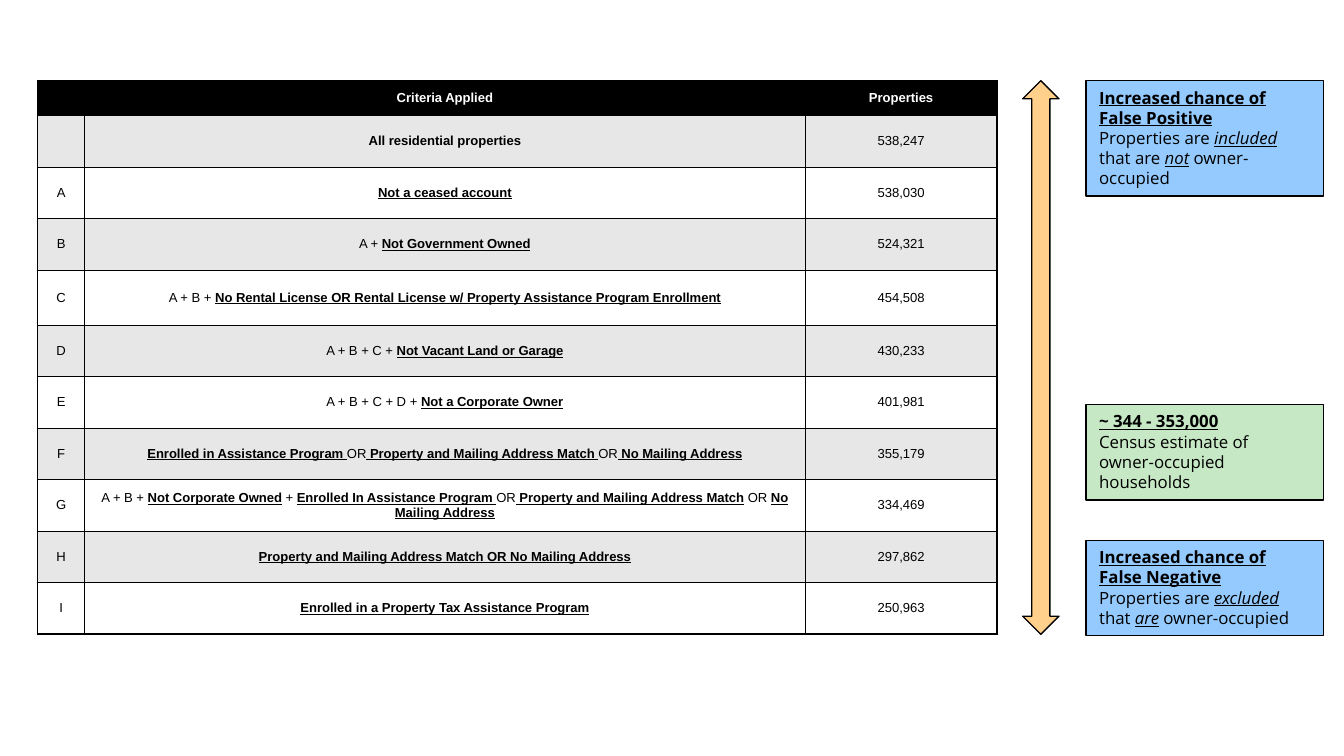
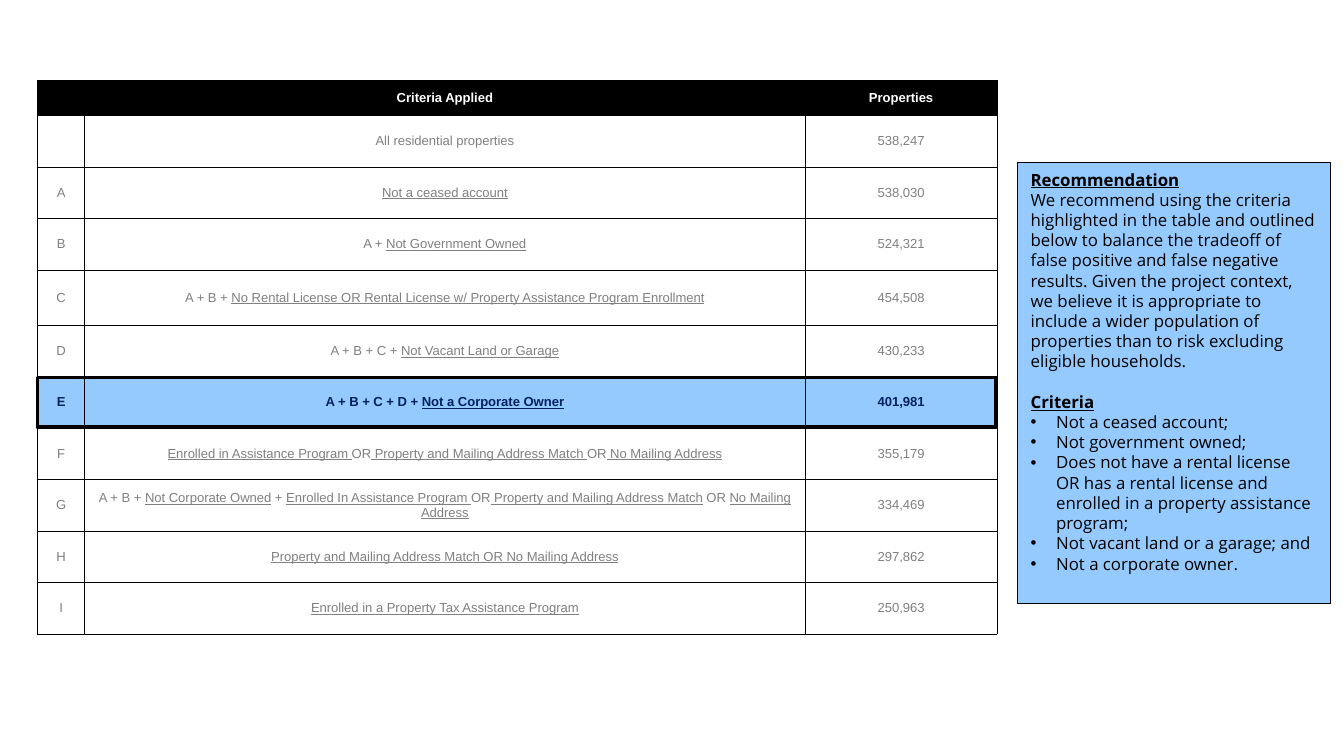
from pptx import Presentation
from pptx.dml.color import RGBColor
from pptx.enum import shapes as sh, text as tx
from pptx.oxml import parse_xml
from pptx.oxml.ns import nsdecls, qn
from pptx.util import Inches, Pt

BLACK, WHITE, GREY, BAND = "000000", "FFFFFF", "808080", "E7E7E7"
BLUE, NAVY, SAND, GREEN = "95CAFE", "002060", "FFD08B", "54BC4D"
WIDE = 10
GRID = (0.28, 0.6, 7.13, 4.12)
COLS = (0.35, 5.36, 1.43)
HEAD, TALL = 0.26, 0.41
ROWS = [
    ("", "Criteria Applied", "Properties"),
    ("", "All residential properties", "538,247"),
    ("A", "_Not a ceased account_", "538,030"),
    ("B", "A + _Not Government Owned_", "524,321"),
    ("C", "A + B + _No Rental License OR Rental License w/ Property Assistance "
          "Program Enrollment_", "454,508"),
    ("D", "A + B + C + _Not Vacant Land or Garage_", "430,233"),
    ("E", "A + B + C + D + _Not a Corporate Owner_", "401,981"),
    ("F", "_Enrolled in Assistance Program _OR_ Property and Mailing Address "
          "Match _OR_ No Mailing Address_", "355,179"),
    ("G", "A + B + _Not Corporate Owned_ + _Enrolled In Assistance Program _OR"
          "_ Property and Mailing Address Match_ OR _No Mailing Address_",
     "334,469"),
    ("H", "_Property and Mailing Address Match OR No Mailing Address_",
     "297,862"),
    ("I", "_Enrolled in a Property Tax Assistance Program_", "250,963"),
]
ADVICE = (
    "We recommend using the criteria highlighted in the table and outlined "
    "below to balance the tradeoff of false positive and false negative "
    "results. Given the project context, we believe it is appropriate to "
    "include a wider population of properties than to risk excluding eligible "
    "households."
)
TERMS = [
    "Not a ceased account;",
    "Not government owned;",
    "Does not have a rental license OR has a rental license and enrolled in a "
    "property assistance program;",
    "Not vacant land or a garage; and",
    "Not a corporate owner.",
]


def rgb(code):
    """Turn a hex string into a colour."""
    return RGBColor.from_string(code)


def write(par, line, marks, face, size, color):
    """Fill a paragraph, giving the marks to parts between underscores."""
    for n, part in enumerate(line.split("_")):
        if part:
            run = par.add_run()
            run.text = part
            for mark in marks if n % 2 else ():
                setattr(run.font, mark, True)
    font = par.font
    font.name, font.size, font.color.rgb = face, Pt(size), rgb(color)


def shape(slide, kind, box, fill=None, width=0.75):
    """Add a black-lined preset shape."""
    item = slide.shapes.add_shape(kind, *map(Inches, box))
    item.shadow.inherit = False
    item.line.color.rgb, item.line.width = rgb(BLACK), Pt(width)
    if fill:
        item.fill.solid()
        item.fill.fore_color.rgb = rgb(fill)
    else:
        item.fill.background()
    return item


def edge(cell, sides):
    """Draw the cell borders, given as widths in points by side."""
    for side in "LRTB":
        cell._tc.get_or_add_tcPr().append(parse_xml(
            f'<a:ln{side} {nsdecls("a")} w="{Pt(sides[side])}"><a:solidFill>'
            f'<a:srgbClr val="{BLACK}"/></a:solidFill></a:ln{side}>'))


def grid(slide, box, look, marks, rim):
    """Add the criteria table; look gives fill, colour and bold by row."""
    last, end = len(ROWS) - 1, len(COLS) - 1
    table = slide.shapes.add_table(
        last + 1, end + 1, *map(Inches, box)).table
    table.first_row = table.horz_banding = False
    for col, wide in zip(table.columns, COLS):
        col.width = Inches(wide)
    even = (box[3] - HEAD - TALL) / (last - 1)
    for r, row in enumerate(ROWS):
        table.rows[r].height = Inches({0: HEAD, 4: TALL}.get(r, even))
        fill, color, bold = look(r) if r else (BLACK, WHITE, True)
        for c, line in enumerate(row):
            cell = table.cell(r, c)
            cell.vertical_anchor = tx.MSO_ANCHOR.MIDDLE
            outer = {"L": c == 0, "R": c == end, "T": r == 0, "B": r == last}
            edge(cell, {s: rim if out else 0.25 for s, out in outer.items()})
            if fill:
                cell.fill.solid()
                cell.fill.fore_color.rgb = rgb(fill)
            else:
                cell.fill.background()
            par = cell.text_frame.paragraphs[0]
            par.alignment = tx.PP_ALIGN.CENTER
            write(par, line, marks, "Arial", 7, color)
            if bold and (r != 1 or c == 1):
                par.font.bold = True
            if not line:
                par._p.get_or_add_endParaRPr().set("sz", "700")


def note(slide, box, fill, title, lines):
    """Add a filled box with an underlined title and text below it."""
    item = shape(slide, sh.MSO_SHAPE.RECTANGLE, box, fill)
    frame = item.text_frame
    frame.word_wrap, frame.vertical_anchor = True, tx.MSO_ANCHOR.TOP
    head(frame.paragraphs[0], title)
    for line in lines:
        body(frame.add_paragraph(), line)
    return item


def head(par, line):
    """Write a bold underlined heading."""
    par.alignment = tx.PP_ALIGN.LEFT
    write(par, line, (), "Open Sans", 9, BLACK)
    par.font.bold = par.font.underline = True


def body(par, line):
    """Write a plain line with italic underlined marks."""
    par.alignment = tx.PP_ALIGN.LEFT
    write(par, line, ("italic", "underline"), "Open Sans", 9, BLACK)


def bullet(par, line):
    """Write a bulleted line."""
    props = par._p.get_or_add_pPr()
    props.set("marL", str(Inches(0.19)))
    props.set("indent", str(Inches(-0.19)))
    props.append(parse_xml(
        f'<a:buFont {nsdecls("a")} typeface="Arial"/>'))
    props.append(parse_xml(f'<a:buChar {nsdecls("a")} char="•"/>'))
    body(par, line)


def counts(slide):
    """Build the slide of counts with the scale of error."""
    left, top, wide, high = GRID
    grid(slide, GRID,
         lambda r: (BAND if r % 2 else WHITE, BLACK, r == 1),
         ("bold", "underline"), 1)
    shape(slide, sh.MSO_SHAPE.UP_DOWN_ARROW,
          (left + wide + 0.2, top, 0.27, high), SAND)
    side = left + wide + 0.67
    note(slide, (side, top, 1.77, 0.86), BLUE,
         "Increased chance of False Positive",
         ["Properties are _included_ that are _not_ owner-occupied"])
    note(slide, (side, 4.02, 1.77, 0.71), BLUE,
         "Increased chance of False Negative",
         ["Properties are _excluded_ that _are_ owner-occupied"])
    census = note(slide, (side, 3.01, 1.77, 0.71), GREEN, "~ 344 - 353,000",
                  ["Census estimate of", "owner-occupied households"])
    tint = census._element.spPr.find(qn("a:solidFill"))[0]
    tint.append(parse_xml(f'<a:alpha {nsdecls("a")} val="33000"/>'))


def choice(slide):
    """Build the slide that recommends one row of the table."""
    pick = [row[0] for row in ROWS].index("E")
    left, top, wide, high = GRID
    advice = note(slide, (left + wide + 0.16, 1.21, 2.33, 3.28), BLUE,
                  "Recommendation", [ADVICE])
    frame = advice.text_frame
    par = frame.add_paragraph()
    head(par, "Criteria")
    par.space_before = Pt(10.8)
    for term in TERMS:
        bullet(frame.add_paragraph(), term)
    grid(slide, GRID,
         lambda r: (BLUE, NAVY, True) if r == pick else (None, GREY, False),
         ("underline",), 0.25)
    shape(slide, sh.MSO_SHAPE.RECTANGLE, (left, 2.81, wide, 0.37), width=2)


def main():
    """Build and save the slides."""
    deck = Presentation()
    deck.slide_width, deck.slide_height = Inches(WIDE), Inches(WIDE * 9 / 16)
    for build in (counts, choice):
        build(deck.slides.add_slide(deck.slide_layouts[6]))
    deck.save("out.pptx")


if __name__ == "__main__":
    main()
